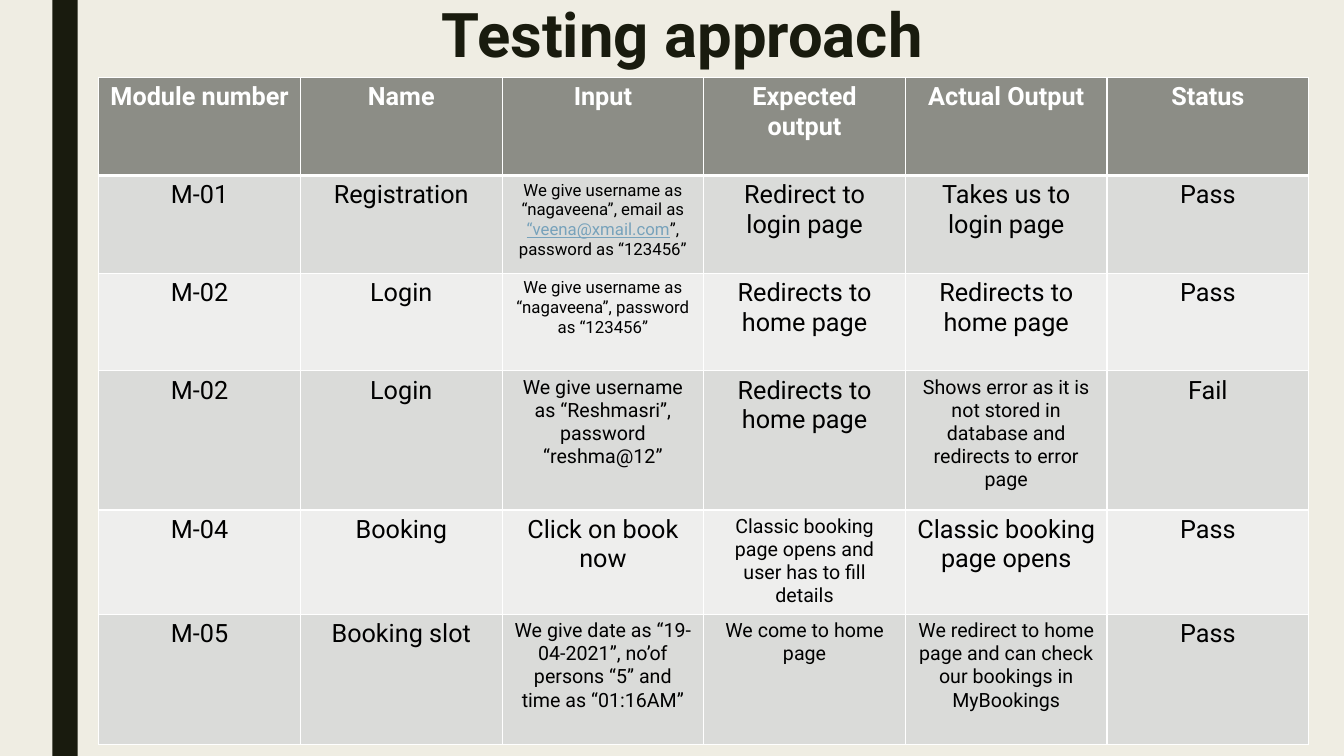
"""Build the testing approach slide with its table of test cases."""
import pptx
import pptx.dml.color
import pptx.enum.shapes
import pptx.enum.text
import pptx.oxml
import pptx.oxml.ns
import pptx.util
from pptx.util import Inches

COLORS = {
    "background": "EFEDE3",
    "dark": "191B0E",
    "header": "8C8D86",
    "odd": "DADBD9",
    "even": "EEEEED",
    "white": "FFFFFF",
    "black": "000000",
    "link": "77A2BB",
}


def rgb(name):
    return pptx.dml.color.RGBColor.from_string(COLORS[name])


def add_text(p, text, size=18, color="black", bold=False, underline=False):
    p.alignment = pptx.enum.text.PP_ALIGN.CENTER
    r = p.add_run()
    r.text = text
    r.font.name = "Roboto"
    r.font.size = pptx.util.Pt(size)
    r.font.bold = bold
    r.font.underline = underline
    r.font.color.rgb = rgb(color)


prs = pptx.Presentation()
prs.slide_width, prs.slide_height = Inches(13.33), Inches(7.5)
s = prs.slides.add_slide(prs.slide_layouts[6])
s.background.fill.solid()
s.background.fill.fore_color.rgb = rgb("background")

bar = s.shapes.add_shape(pptx.enum.shapes.MSO_SHAPE.RECTANGLE,
                         Inches(0.52), 0, Inches(0.25), Inches(7.5))
bar.shadow.inherit = False
bar.fill.solid()
bar.fill.fore_color.rgb = rgb("dark")
bar.line.fill.background()

title = s.shapes.add_textbox(Inches(1.52), 0, Inches(10.5), Inches(0.94))
tf = title.text_frame
tf.word_wrap = True
tf.vertical_anchor = pptx.enum.text.MSO_ANCHOR.TOP
tf.paragraphs[0].line_spacing = 0.89
add_text(tf.paragraphs[0], "Testing approach", size=44, color="dark", bold=True)

headers = ["Module number", "Name", "Input", "Expected output", "Actual Output", "Status"]
registration = [
    ("We give username as “nagaveena”, email as ", {"size": 12}),
    ("“veena@xmail.com", {"size": 12, "color": "link", "underline": True}),
    ("”, password as “123456”", {"size": 12}),
]
small, medium = {"size": 12}, {"size": 14}
tests = [
    ["M-01", "Registration", registration,
     "Redirect to login page", "Takes us to login page", "Pass"],
    ["M-02", "Login", [("We give username as “nagaveena”, password as “123456”", small)],
     "Redirects to home page", "Redirects to home page", "Pass"],
    ["M-02", "Login", [("We give username as “Reshmasri”, password “reshma@12”", medium)],
     "Redirects to home page",
     [("Shows error as it is not stored in database and redirects to error page", medium)],
     "Fail"],
    ["M-04", "Booking", "Click on book now",
     [("Classic booking page opens and user has to fill details", medium)],
     "Classic booking page opens", "Pass"],
    ["M-05", "Booking slot",
     [("We give date as “19-04-2021”, no’of persons “5” and time as “01:16AM”", medium)],
     [("We come to home page", medium)],
     [("We redirect to home page and can check our bookings in MyBookings", medium)],
     "Pass"],
]
rows = [headers] + tests
heights = [0.97, 0.97, 0.97, 1.38, 0.97, 1.29]

table = s.shapes.add_table(len(rows), len(headers), Inches(0.98), Inches(0.77),
                           Inches(12), Inches(sum(heights))).table
for column in table.columns:
    column.width = Inches(2)

for i, (row, height) in enumerate(zip(rows, heights)):
    table.rows[i].height = Inches(height)
    fill = "header" if i == 0 else "odd" if i % 2 else "even"
    style = {"color": "white", "bold": True} if i == 0 else {}
    for j, content in enumerate(row):
        cell = table.cell(i, j)
        runs = [(content, style)] if isinstance(content, str) else content
        for text, look in runs:
            add_text(cell.text_frame.paragraphs[0], text, **look)
        tcPr = cell._tc.get_or_add_tcPr()
        for side in ("lnL", "lnR", "lnT", "lnB"):
            heavy = (i, side) in ((0, "lnB"), (1, "lnT"))
            tcPr.append(pptx.oxml.parse_xml(
                f'<a:{side} {pptx.oxml.ns.nsdecls("a")} w="{pptx.util.Pt(3 if heavy else 1)}">'
                f'<a:solidFill><a:srgbClr val="{COLORS["white"]}"/></a:solidFill></a:{side}>'))
        cell.fill.solid()
        cell.fill.fore_color.rgb = rgb(fill)

prs.save("out.pptx")
